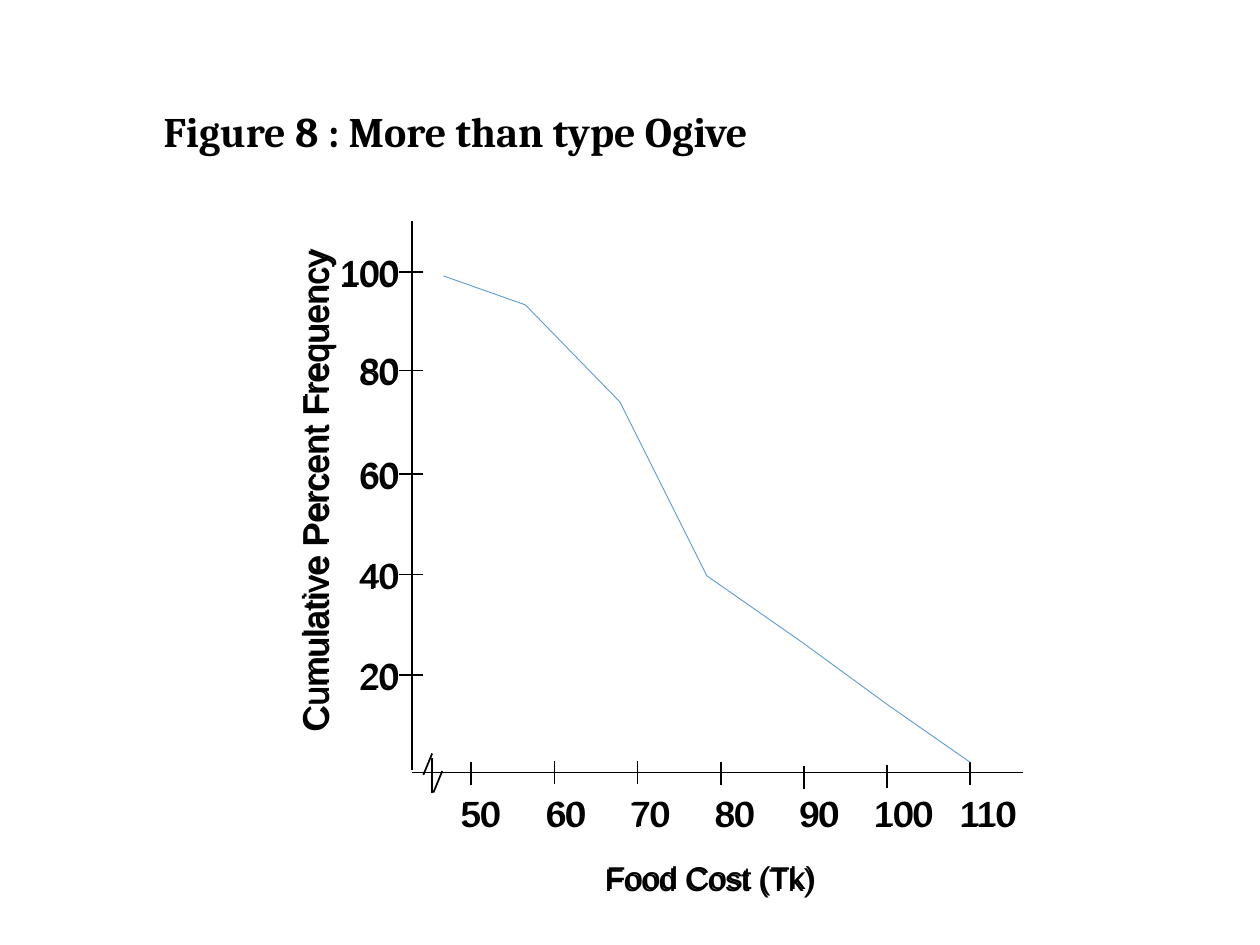
from dataclasses import dataclass
from itertools import pairwise

from lxml.etree import SubElement
from pptx import Presentation
from pptx.dml.color import RGBColor as Color
from pptx.enum.shapes import MSO_CONNECTOR as Connector
from pptx.enum.text import PP_ALIGN as Align
from pptx.oxml.ns import qn
from pptx.util import Inches, Pt


@dataclass(frozen=True)
class Theme:
    ink: Color = Color(0, 0, 0)
    curve: Color = Color(0x5B, 0x9B, 0xD5)
    title_font: str = "Cambria"
    label_font: str = "Arial"
    title_size: int = 24
    label_size: int = 20
    caption_size: int = 18
    axis_width: float = 1
    curve_width: float = 0.5


THEME = Theme()
AXIS_X, AXIS_Y = 3.27, 6.13


def add_line(slide, start, end, color=THEME.ink, width=THEME.axis_width):
    line = slide.shapes.add_connector(
        Connector.STRAIGHT, *(Inches(value) for value in (*start, *end)))
    line.line.color.rgb = color
    line.line.width = Pt(width)
    SubElement(line._element.spPr, qn("a:effectLst"))


def add_text(slide, text, box, size=THEME.label_size, font=THEME.label_font,
             bold=False, wrap=False, align=Align.LEFT):
    shape = slide.shapes.add_textbox(*(Inches(value) for value in box))
    shape.text_frame.word_wrap = wrap
    paragraph = shape.text_frame.paragraphs[0]
    paragraph.text = text
    paragraph.alignment = align
    for run in paragraph.runs:
        run.font.name = font
        run.font.size = Pt(size)
        run.font.bold = bold
        run.font.color.rgb = THEME.ink
    return shape


def add_shadow(shape):
    """Give a label its tight black shadow."""
    effects = SubElement(shape._element.spPr, qn("a:effectLst"))
    shadow = SubElement(effects, qn("a:outerShdw"), dist=str(Pt(1.5)),
                        dir="8100000", algn="ctr", rotWithShape="0")
    SubElement(shadow, qn("a:srgbClr"), val=str(THEME.ink))


def set_center_tabs(paragraph, positions):
    tabs = SubElement(paragraph._p.get_or_add_pPr(), qn("a:tabLst"))
    for position in positions:
        SubElement(tabs, qn("a:tab"), pos=str(Inches(position)), algn="ctr")


def add_title(slide):
    title = add_text(slide, "Figure 8 : More than type Ogive",
                     (1.08, 0.83, 8.17, 0.75), THEME.title_size,
                     THEME.title_font, bold=True, wrap=True)
    paragraph = title.text_frame.paragraphs[0]
    paragraph.line_spacing = 0.9
    paragraph.space_before = Pt(7.5)
    properties = paragraph._p.get_or_add_pPr()
    properties.set("marL", str(Inches(0.4)))
    properties.set("indent", str(Inches(-0.28)))


def add_vertical_axis(slide):
    add_line(slide, (AXIS_X, 6.11), (AXIS_X, 1.75))
    ticks = {20: 5.36, 40: 4.56, 60: 3.76, 80: 2.94, 100: 2.16}
    label_width, label_right = 0.75, 3.27
    for value, y in ticks.items():
        add_line(slide, (3.17, y), (3.36, y))
        add_shadow(add_text(
            slide, str(value),
            (label_right - label_width, y - 0.22, label_width, 0.43),
            wrap=True, align=Align.RIGHT))
    caption = add_text(slide, "Cumulative Percent Frequency",
                       (0.49, 3.67, 4.02, 0.43))
    caption.rotation = 270
    add_shadow(caption)


def add_horizontal_axis(slide):
    add_line(slide, (AXIS_X, AXIS_Y), (8.12, AXIS_Y))
    # Ticks at even steps, with slightly varying heights
    step = 0.66
    for index, top in enumerate((6.05, 6.04, 6.04, 6.05, 6.08, 6.07, 6.05)):
        x = 3.74 + index * step
        add_line(slide, (x, top), (x, top + 0.18))
    # Values on centred tab stops
    values = range(50, 111, 10)
    labels = add_text(slide, "\t".join(map(str, values)),
                      (3.57, 6.23, 4.61, 0.43), wrap=True)
    set_center_tabs(labels.text_frame.paragraphs[0],
                    [0.16 + 0.67 * index for index in range(1, len(values))])
    add_shadow(labels)
    # Axis break
    for start, end in (((3.36, 6.15), (3.43, 5.98)),
                       ((3.43, 6.02), (3.43, 6.29)),
                       ((3.44, 6.29), (3.51, 6.12))):
        add_line(slide, start, end)
    # Caption
    caption = add_text(slide, "Food Cost (Tk)", (4.31, 6.76, 2.52, 0.43),
                       THEME.caption_size, wrap=True, align=Align.CENTER)
    caption.text_frame.margin_left = Inches(0.25)
    add_shadow(caption)


def add_ogive(slide):
    points = ((3.52, 2.19), (4.17, 2.42), (4.92, 3.19), (5.61, 4.57),
              (6.37, 5.1), (7.04, 5.59), (7.7, 6.05))
    for start, end in pairwise(points):
        add_line(slide, start, end, THEME.curve, THEME.curve_width)


def main():
    presentation = Presentation()
    presentation.slide_width = Inches(10)
    presentation.slide_height = Inches(7.5)
    slide = presentation.slides.add_slide(presentation.slide_layouts[6])
    add_title(slide)
    add_horizontal_axis(slide)
    add_vertical_axis(slide)
    add_ogive(slide)
    presentation.save("out.pptx")


main()
